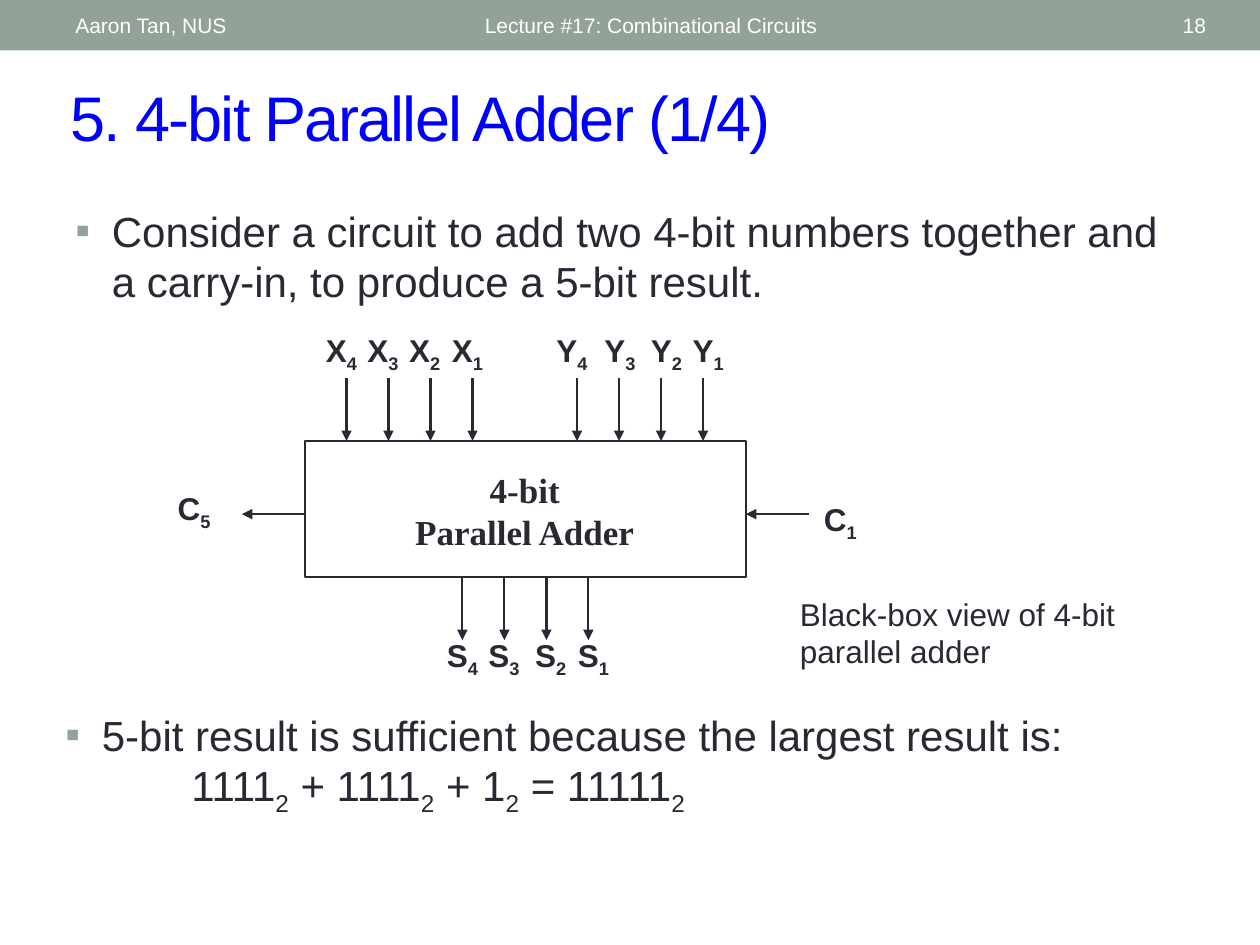
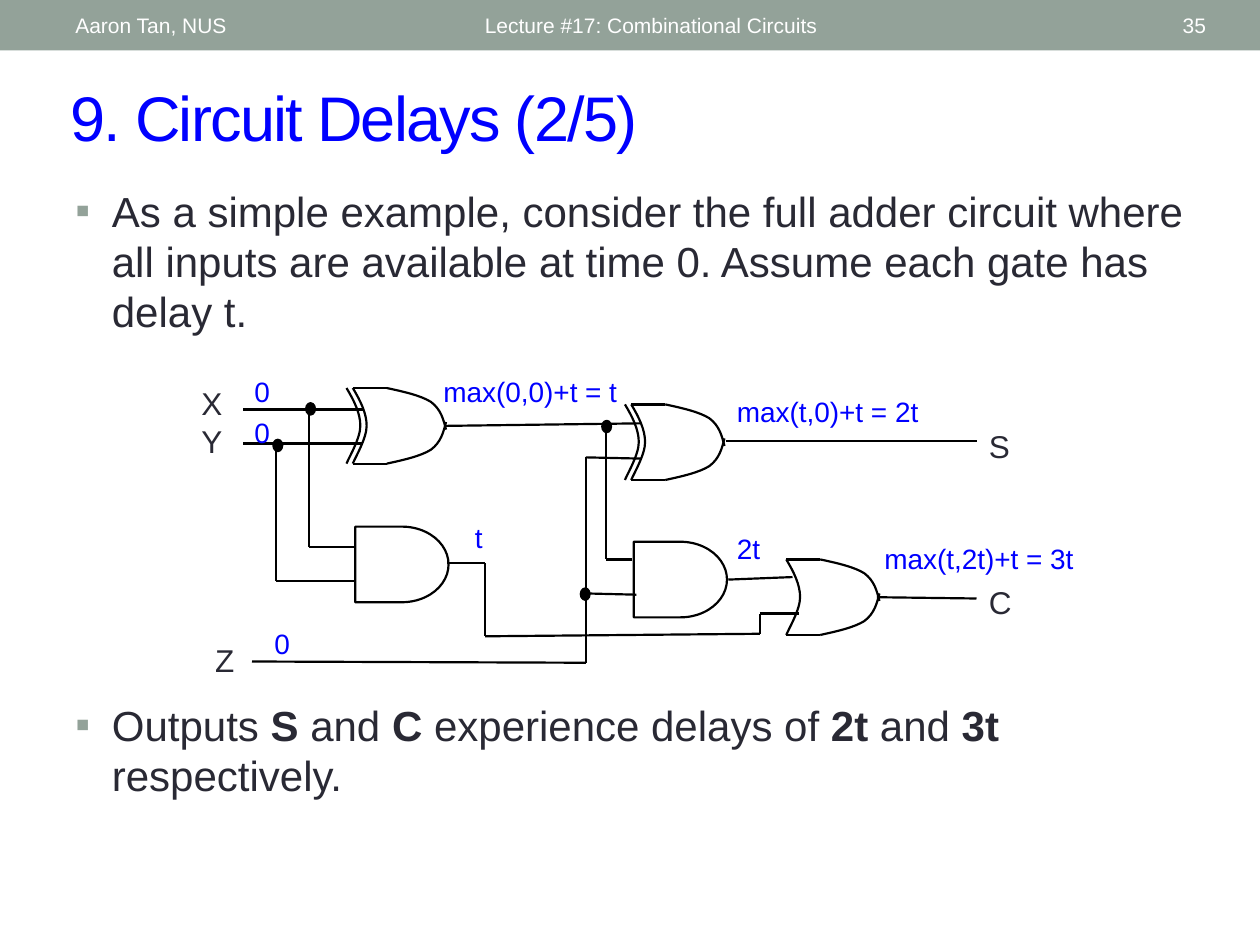
from dataclasses import dataclass
from typing import NamedTuple

from lxml import etree
from pptx import Presentation
from pptx.dml.color import RGBColor
from pptx.enum.shapes import MSO_CONNECTOR, MSO_SHAPE
from pptx.enum.text import MSO_ANCHOR, PP_ALIGN
from pptx.oxml.ns import qn
from pptx.util import Inches, Pt

LEFT, CENTER, RIGHT = PP_ALIGN.LEFT, PP_ALIGN.CENTER, PP_ALIGN.RIGHT
TOP, MIDDLE = MSO_ANCHOR.TOP, MSO_ANCHOR.MIDDLE
STRAIGHT = MSO_CONNECTOR.STRAIGHT
RECT, OVAL, AND_GATE = MSO_SHAPE.RECTANGLE, MSO_SHAPE.OVAL, MSO_SHAPE.FLOWCHART_DELAY

Point = tuple[float, float]


@dataclass(frozen=True)
class Theme:
    band: str = "93A299"
    ink: str = "292934"
    accent: str = "0000FF"
    wire: str = "000000"
    white: str = "FFFFFF"
    font: str = "Arial"
    serif: str = "Times New Roman"
    title: float = 36
    body: float = 24
    block: float = 20
    label: float = 18
    delay: float = 16
    header: float = 12
    wire_width: float = 1.25
    box_width: float = 1.5


T = Theme()


class Box(NamedTuple):
    x: float
    y: float
    w: float
    h: float


class Run(NamedTuple):
    text: str
    bold: bool = False
    sub: bool = False


@dataclass(frozen=True)
class Style:
    size: float
    color: str
    font: str = T.font
    align: PP_ALIGN = LEFT
    anchor: MSO_ANCHOR = TOP
    before: float = 0
    bullet: bool = False
    spacing: float = 0


TITLE = Style(T.title, T.accent, anchor=MIDDLE, spacing=-1)
HEADER = Style(T.header, T.white, anchor=MIDDLE)
PAGE = Style(T.header, T.white, align=RIGHT, anchor=MIDDLE)
BODY = Style(T.body, T.ink, before=4.8, bullet=True)
BLOCK = Style(T.block, T.ink, font=T.serif, align=CENTER)
SIGNAL = Style(T.label, T.ink, align=CENTER, before=1.8)
CAPTION = Style(T.label, T.ink, before=9)
PIN = Style(T.label, T.ink)
DELAY = Style(T.delay, T.accent)


def add_run(p, run: Run, style: Style) -> None:
    r = p.add_run()
    r.text = run.text
    r.font.name = style.font
    r.font.size = Pt(style.size)
    r.font.bold = run.bold
    r.font.color.rgb = RGBColor.from_string(style.color)
    rPr = r._r.get_or_add_rPr()
    if run.sub:
        rPr.set("baseline", "-25000")
    if style.spacing:
        rPr.set("spc", str(int(style.spacing * 100)))


def add_bullet(p) -> None:
    pPr = p._p.get_or_add_pPr()
    pPr.set("marL", str(Inches(0.29)))
    pPr.set("indent", str(-Inches(0.29)))
    pPr.set("defTabSz", str(Inches(1)))
    color = etree.SubElement(pPr, qn("a:buClr"))
    etree.SubElement(color, qn("a:srgbClr")).set("val", T.band)
    etree.SubElement(pPr, qn("a:buFont")).set("typeface", T.font)
    etree.SubElement(pPr, qn("a:buChar")).set("char", "▪")


def add_text(s, box: Box, style: Style, *lines: list[Run]) -> None:
    tf = s.shapes.add_textbox(*map(Inches, box)).text_frame
    tf.word_wrap = True
    tf.vertical_anchor = style.anchor
    for i, line in enumerate(lines):
        p = tf.add_paragraph() if i else tf.paragraphs[0]
        p.alignment = style.align
        p.space_before = Pt(style.before)
        if style.bullet:
            add_bullet(p)
        for run in line:
            if run.text == "\n":
                p.add_line_break()
            else:
                add_run(p, run, style)


def add_line(s, start: Point, end: Point, color: str, arrow: bool = False) -> None:
    c = s.shapes.add_connector(STRAIGHT, *map(Inches, start + end))
    c.line.color.rgb = RGBColor.from_string(color)
    c.line.width = Pt(T.wire_width)
    if arrow:
        etree.SubElement(c.line._get_or_add_ln(), qn("a:tailEnd")).set("type", "triangle")
    etree.SubElement(c._element.spPr, qn("a:effectLst"))


def outline(sp, color: str, width: float) -> None:
    sp.shadow.inherit = False
    sp.fill.background()
    sp.line.color.rgb = RGBColor.from_string(color)
    sp.line.width = Pt(width)


def add_shape(s, kind: MSO_SHAPE, box: Box, color: str, width: float = T.wire_width,
              filled: bool = False):
    sp = s.shapes.add_shape(kind, *map(Inches, box))
    outline(sp, color, width)
    if filled:
        sp.fill.solid()
        sp.fill.fore_color.rgb = RGBColor.from_string(color)
    return sp


def add_curve(s, points: list[Point]) -> None:
    pts = [(Inches(x), Inches(y)) for x, y in points]
    fb = s.shapes.build_freeform(*pts[0], scale=1.0)
    fb.add_line_segments(pts[1:], close=False)
    sp = fb.convert_to_shape()
    outline(sp, T.wire, T.wire_width)
    outline_path = next(sp._element.iter(qn("a:path")))
    segments = outline_path.findall(qn("a:lnTo"))
    for i in range(0, len(segments), 3):
        cubic = etree.SubElement(outline_path, qn("a:cubicBezTo"))
        for segment in segments[i:i + 3]:
            cubic.append(segment[0])
            outline_path.remove(segment)


GATE_H = 0.6
BACK = [(0, 0), (0.06, 0.1), (0.11, 0.2), (0.11, 0.3), (0.11, 0.4), (0.02, 0.55), (0, GATE_H)]
NOSE_TOP = [(0.27, 0), (0.41, 0.03), (0.54, 0.06), (0.62, 0.11),
            (0.7, 0.17), (0.72, 0.25), (0.74, 0.33)]
NOSE_BOTTOM = [(x, GATE_H - y) for x, y in NOSE_TOP]


def add_or_gate(s, x: float, y: float, exclusive: bool = False) -> None:
    curves = [BACK, NOSE_TOP, NOSE_BOTTOM]
    if exclusive:
        curves.append([(px - 0.05, py) for px, py in BACK])
    for curve in curves:
        add_curve(s, [(x + px, y + py) for px, py in curve])
    for edge in (y, y + GATE_H):
        add_line(s, (x, edge), (x + 0.27, edge), T.wire)


def add_signal(s, name: str, index: int, center: float, top: float) -> None:
    add_text(s, Box(center - 0.29, top, 0.58, 0.4), SIGNAL,
             [Run(name, bold=True), Run(str(index), bold=True, sub=True)])


def new_slide(prs, title: str, number: int):
    s = prs.slides.add_slide(prs.slide_layouts[6])
    band = add_shape(s, RECT, Box(0, 0, 10, 0.4), T.band, filled=True)
    band.line.fill.background()
    add_text(s, Box(0.46, 0.57, 9.21, 0.7), TITLE, [Run(title)])
    add_text(s, Box(3.75, 0.02, 4.5, 0.36), HEADER, [Run("Lecture #17: Combinational Circuits")])
    add_text(s, Box(8.72, 0.02, 0.95, 0.36), PAGE, [Run(str(number))])
    add_text(s, Box(0.5, 0.02, 3.17, 0.36), HEADER, [Run("Aaron Tan, NUS")])
    return s


class Bus(NamedTuple):
    name: str
    label_top: float
    arrow_x: float
    arrow_top: float
    centers: tuple[float, ...]


BUSES = [
    Bus("X", 2.58, 2.75, 3, (2.71, 3.04, 3.37, 3.71)),
    Bus("Y", 2.58, 4.58, 3, (4.54, 4.92, 5.29, 5.62)),
    Bus("S", 5, 3.67, 4.58, (3.67, 4, 4.37, 4.71)),
]


def adder_slide(prs) -> None:
    s = new_slide(prs, "5. 4-bit Parallel Adder (1/4)", 18)
    add_text(s, Box(0.5, 1.58, 9, 1), BODY,
             [Run("Consider a circuit to add two 4-bit numbers together and "
                  "a carry-in, to produce a 5-bit result.")])
    add_shape(s, RECT, Box(2.42, 3.5, 3.5, 1.08), T.ink, T.box_width)
    add_text(s, Box(3, 3.67, 2.33, 0.77), BLOCK,
             [Run("4-bit", bold=True)], [Run("Parallel Adder", bold=True)])
    for bus in BUSES:
        for i, center in enumerate(bus.centers):
            x = bus.arrow_x + i / 3
            add_line(s, (x, bus.arrow_top), (x, bus.arrow_top + 0.5), T.ink, arrow=True)
            add_signal(s, bus.name, 4 - i, center, bus.label_top)
    add_signal(s, "C", 5, 1.54, 3.83)
    add_signal(s, "C", 1, 6.67, 3.92)
    for x in (2.42, 6.42):
        add_line(s, (x, 4.08), (x - 0.5, 4.08), T.ink, arrow=True)
    add_text(s, Box(6.25, 4.67, 2.75, 0.7), CAPTION,
             [Run("Black-box view of 4-bit parallel adder")])
    formula = [Run("5-bit result is sufficient because the largest result is:"), Run("\n")]
    for term in ("\t1111", " + 1111", " + 1", " = 11111"):
        formula += [Run(term), Run("2", sub=True)]
    add_text(s, Box(0.42, 5.58, 9, 1), BODY, formula)


WIRES = [
    [(1.93, 3.25), (2.88, 3.25)],
    [(1.93, 3.52), (2.88, 3.52)],
    [(2.45, 3.25), (2.45, 4.34), (2.82, 4.34)],
    [(2.19, 3.52), (2.19, 4.61), (2.82, 4.61)],
    [(3.54, 3.38), (5.09, 3.36)],
    [(4.81, 3.35), (4.81, 4.44), (5.02, 4.44)],
    [(3.55, 4.47), (3.85, 4.47), (3.85, 5.05), (6.03, 5.03), (6.03, 4.87), (6.34, 4.87)],
    [(2, 5.25), (4.65, 5.26), (4.65, 3.63), (5.09, 3.64)],
    [(4.65, 4.71), (5.05, 4.72)],
    [(5.76, 3.5), (7.75, 3.5)],
    [(5.78, 4.6), (6.29, 4.58)],
    [(6.96, 4.74), (7.75, 4.75)],
]
JUNCTIONS = [(2.17, 3.49), (2.43, 3.2), (4.61, 4.67), (4.78, 3.34)]
PINS = [("S", 7.75, 3.34), ("C", 7.75, 4.58), ("Z", 1.61, 5.04)]
DELAYS = [
    ("0", 1.92, 2.92, 0.33),
    ("0", 1.92, 3.25, 0.33),
    ("0", 2.08, 4.92, 0.33),
    ("t", 3.67, 4.08, 0.26),
    ("2t", 5.75, 4.17, 0.42),
    ("max(0,0)+t = t", 3.42, 2.92, 1.65),
    ("max(t,0)+t = 2t", 5.75, 3.08, 1.75),
    ("max(t,2t)+t = 3t", 6.92, 4.25, 1.75),
]


def delay_slide(prs) -> None:
    s = new_slide(prs, "9. Circuit Delays (2/5)", 35)
    add_text(s, Box(0.5, 1.42, 9, 1.83), BODY,
             [Run("As a simple example, consider the full adder circuit where all inputs "
                  "are available at time 0. Assume each gate has delay t.")])
    add_text(s, Box(0.5, 5.5, 9, 0.92), BODY,
             [Run("Outputs "), Run("S", bold=True), Run(" and "), Run("C", bold=True),
              Run(" experience delays of "), Run("2t ", bold=True), Run("and "),
              Run("3t", bold=True), Run(" respectively.")])
    for x, y in ((2.82, 4.18), (5.03, 4.3)):
        add_shape(s, AND_GATE, Box(x, y, 0.74, GATE_H), T.wire)
    add_or_gate(s, 2.8, 3.08, exclusive=True)
    add_or_gate(s, 5.01, 3.21, exclusive=True)
    add_or_gate(s, 6.24, 4.44)
    for wire in WIRES:
        for start, end in zip(wire, wire[1:]):
            add_line(s, start, end, T.wire)
    for x, y in JUNCTIONS:
        add_shape(s, OVAL, Box(x, y, 0.07, 0.09), T.wire, filled=True)
    add_text(s, Box(1.5, 3, 0.42, 0.6), PIN, [Run("X")], [Run("Y")])
    for name, x, y in PINS:
        add_text(s, Box(x, y, 0.42, 0.38), PIN, [Run(name)])
    for text, x, y, w in DELAYS:
        add_text(s, Box(x, y, w, 0.38), DELAY, [Run(text)])


prs = Presentation()
prs.slide_width, prs.slide_height = Inches(10), Inches(7.5)
adder_slide(prs)
delay_slide(prs)
prs.save("out.pptx")
